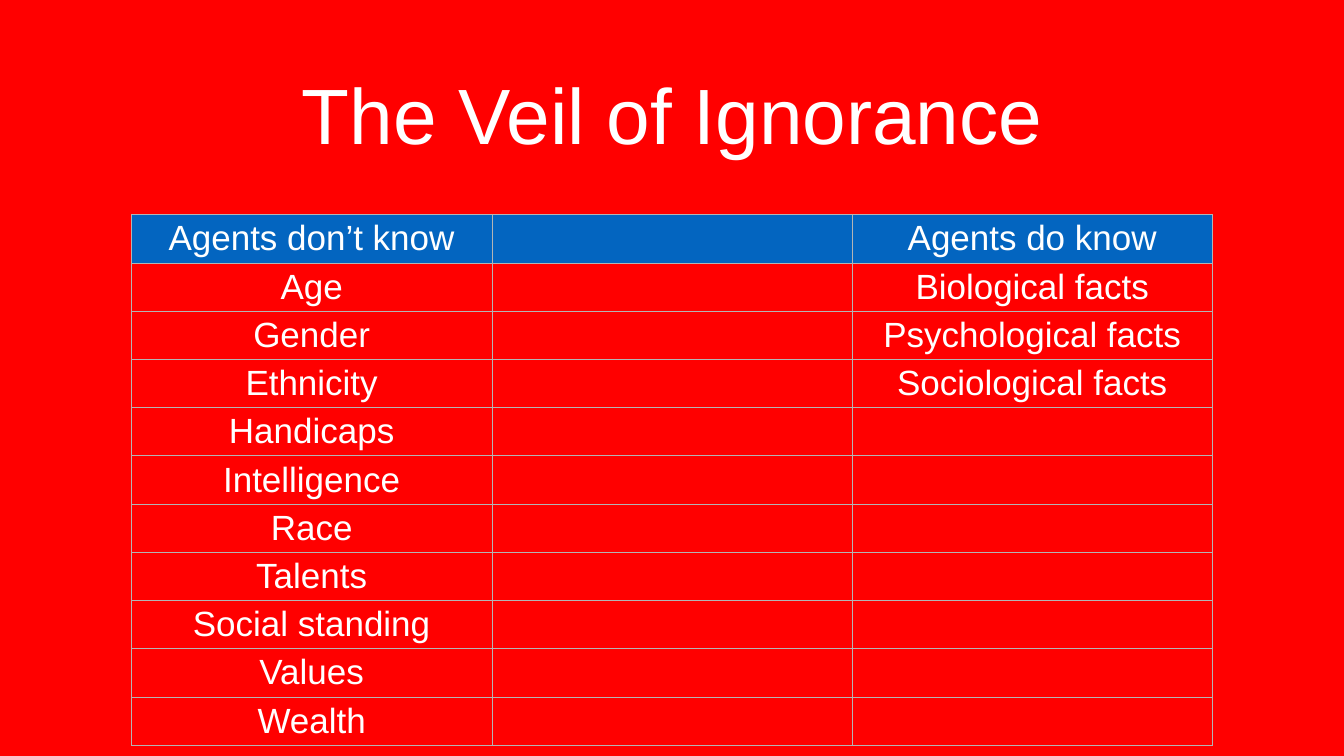
from itertools import zip_longest

from lxml import etree
from pptx import Presentation
from pptx import util as u
from pptx.dml.color import RGBColor
from pptx.enum import text
from pptx.oxml import ns

RED = RGBColor(0xFF, 0x00, 0x00)
BLUE = RGBColor(0x03, 0x65, 0xC0)
WHITE = RGBColor(0xFF, 0xFF, 0xFF)
GREY = RGBColor(0xB4, 0xB4, 0xB4)

UNKNOWN = ["Agents don’t know", "Age", "Gender", "Ethnicity", "Handicaps",
           "Intelligence", "Race", "Talents", "Social standing", "Values",
           "Wealth"]
KNOWN = ["Agents do know", "Biological facts", "Psychological facts",
         "Sociological facts"]


class SlideBuilder:
    font = "Arial"
    inset = u.Cm(0.15)

    def __init__(self, slide, background):
        self.slide = slide
        slide.background.fill.solid()
        slide.background.fill.fore_color.rgb = background

    def set_text(self, para, wording, size):
        para.text = wording
        para.alignment = text.PP_ALIGN.CENTER
        para.font.name = self.font
        para.font.size = u.Pt(size)
        para.font.bold = False
        para.font.color.rgb = WHITE

    def set_margins(self, holder):
        holder.margin_left = holder.margin_right = self.inset
        holder.margin_top = holder.margin_bottom = self.inset
        holder.vertical_anchor = text.MSO_ANCHOR.MIDDLE

    def title(self, wording, left, top, width, height, size):
        box = self.slide.shapes.title
        box.left, box.top = u.Cm(left), u.Cm(top)
        box.width, box.height = u.Cm(width), u.Cm(height)
        self.set_margins(box.text_frame)
        self.set_text(box.text_frame.paragraphs[0], wording, size)

    def border(self, cell):
        properties = cell._tc.get_or_add_tcPr()
        for index, side in enumerate(("lnL", "lnR", "lnT", "lnB")):
            line = etree.Element(ns.qn(f"a:{side}"), w=str(u.Pt(1)))
            fill = etree.SubElement(line, ns.qn("a:solidFill"))
            etree.SubElement(fill, ns.qn("a:srgbClr"), val=str(GREY))
            properties.insert(index, line)

    def table(self, rows, left, top, column_width, row_height, size):
        columns = len(rows[0])
        table = self.slide.shapes.add_table(
            len(rows), columns, u.Cm(left), u.Cm(top),
            u.Cm(column_width * columns), u.Cm(row_height * len(rows))).table
        table.horz_banding = False
        for row_index, row in enumerate(rows):
            for column_index, wording in enumerate(row):
                cell = table.cell(row_index, column_index)
                self.set_margins(cell)
                if wording:
                    self.set_text(cell.text_frame.paragraphs[0], wording, size)
                if row_index == 0:
                    cell.fill.solid()
                    cell.fill.fore_color.rgb = BLUE
                else:
                    cell.fill.background()
                self.border(cell)


def main():
    deck = Presentation()
    deck.slide_width, deck.slide_height = u.Cm(67.74), u.Cm(38.1)
    title_only = deck.slide_layouts[5]
    builder = SlideBuilder(deck.slides.add_slide(title_only), RED)
    builder.title("The Veil of Ignorance", 4.98, 1.57, 57.81, 8.28, size=112)
    rows = [(unknown, "", known)
            for unknown, known in zip_longest(UNKNOWN, KNOWN, fillvalue="")]
    builder.table(rows, 6.63, 10.82, column_width=18.16, row_height=2.43,
                  size=50)
    deck.save("out.pptx")


if __name__ == "__main__":
    main()
